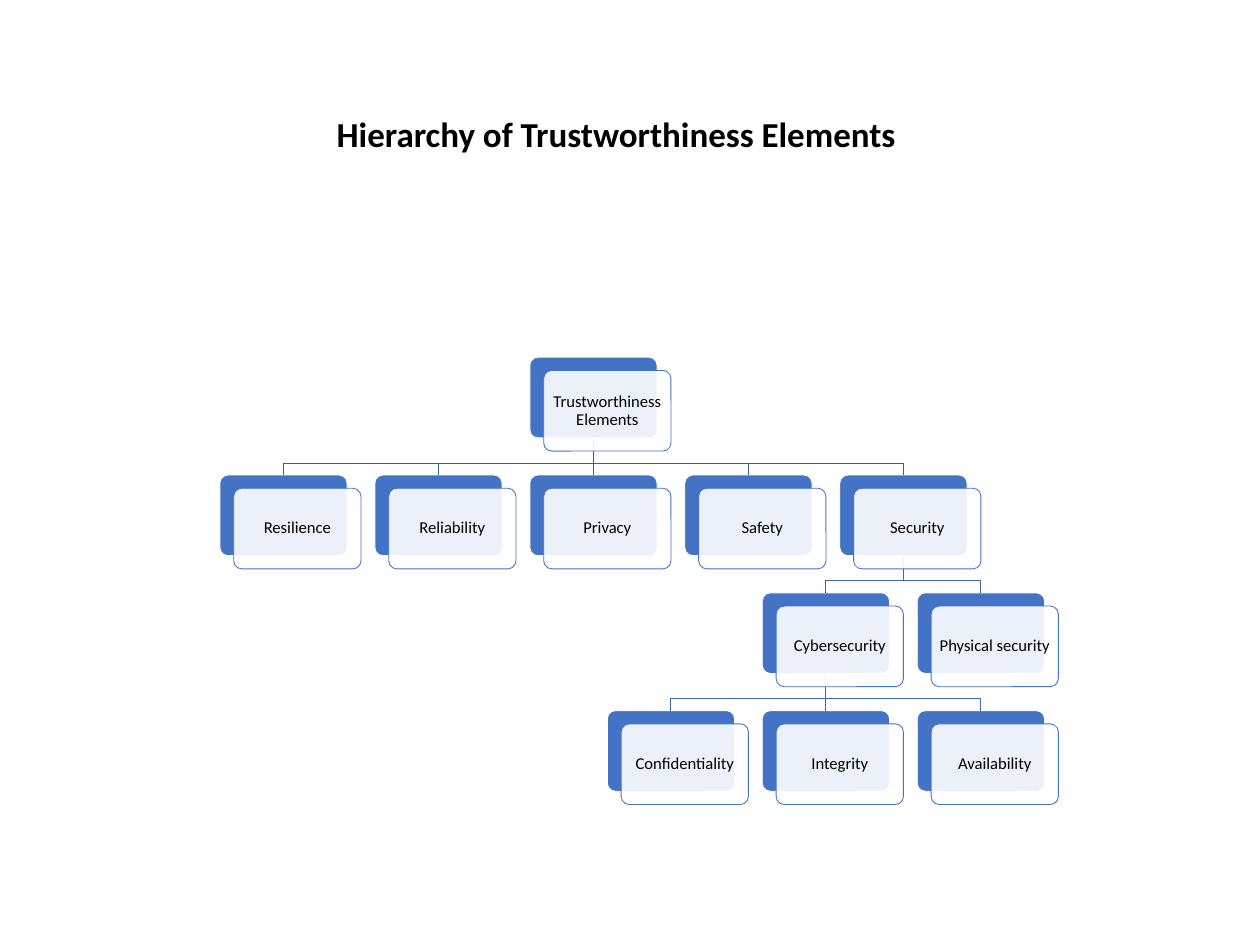
from dataclasses import dataclass

from lxml import etree
from pptx import Presentation
from pptx import util as u
from pptx.dml.color import RGBColor
from pptx.enum import shapes, text
from pptx.oxml.ns import qn

TITLE = "Hierarchy of Trustworthiness Elements"
ROOT = "Trustworthiness Elements"
CHILDREN = {
    ROOT: ["Resilience", "Reliability", "Privacy", "Safety", "Security"],
    "Security": ["Cybersecurity", "Physical security"],
    "Cybersecurity": ["Confidentiality", "Integrity", "Availability"],
}


@dataclass(frozen=True)
class Theme:
    font: str = "Calibri"
    ink: str = "000000"
    accent: str = "4472C4"
    paper: str = "FFFFFF"
    paper_alpha: int = 90
    top_link: str = "365B9D"
    lower_link: str = "3E67B2"
    title_size: int = 40
    card_size: int = 19
    line_width: int = 1


THEME = Theme()
CARD_W, CARD_H = 2.02, 1.28
LEFT, TOP = 3.49, 5.67
COL_STEP, ROW_STEP = 2.46, 1.87
ROOT_COL = 2
SHIFT_X, SHIFT_Y = 0.22, 0.21
ELBOW_DROP = 0.4
CORNER = 0.1
INSET = 0.08


def set_all(target, values):
    for name, value in values.items():
        setattr(target, name, value)


def rgb(value):
    return RGBColor.from_string(value)


def draw_line(line, color):
    line.color.rgb = rgb(color)
    line.width = u.Pt(THEME.line_width)


def write(tf, wording, size, bold=False):
    p = tf.paragraphs[0]
    p.alignment = text.PP_ALIGN.CENTER
    r = p.add_run()
    r.text = wording
    set_all(r.font, {"name": THEME.font, "size": u.Pt(size), "bold": bold})
    r.font.color.rgb = rgb(THEME.ink)
    return p


def place(name, col, row):
    yield name, col, row
    kids = CHILDREN.get(name, [])
    for i, kid in enumerate(kids):
        yield from place(kid, col + i - (len(kids) - 1) / 2, row + 1)


def add_card(slide, x, y, fill, line):
    sp = slide.shapes.add_shape(
        shapes.MSO_SHAPE.ROUNDED_RECTANGLE,
        u.Inches(x), u.Inches(y), u.Inches(CARD_W), u.Inches(CARD_H))
    sp.adjustments[0] = CORNER
    sp.shadow.inherit = False
    sp.fill.solid()
    sp.fill.fore_color.rgb = rgb(fill)
    draw_line(sp.line, line)
    return sp


def add_front(slide, name, x, y):
    sp = add_card(slide, x + SHIFT_X, y + SHIFT_Y, THEME.paper, THEME.accent)
    color = sp.fill._xPr.find(qn("a:solidFill"))[0]
    etree.SubElement(color, qn("a:alpha"), val=str(THEME.paper_alpha * 1000))
    tf = sp.text_frame
    set_all(tf, {"word_wrap": True, "vertical_anchor": text.MSO_ANCHOR.MIDDLE})
    set_all(tf, {f"margin_{side}": u.Inches(INSET)
                 for side in ("left", "top", "right", "bottom")})
    write(tf, name, THEME.card_size).line_spacing = 0.9


def add_link(slide, parent, child, color):
    x1, y1 = parent.left + parent.width // 2, parent.top + parent.height
    x2, y2 = child.left + child.width // 2, child.top
    if x1 == x2:
        link = slide.shapes.add_connector(
            shapes.MSO_CONNECTOR.STRAIGHT, x1, y1, x2, y2)
        link.begin_connect(parent, 2)
        link.end_connect(child, 0)
        etree.SubElement(link._element.spPr, qn("a:effectLst"))
    else:
        bend = y1 + u.Inches(ELBOW_DROP)
        outline = slide.shapes.build_freeform(x1, y1)
        outline.add_line_segments([(x1, bend), (x2, bend), (x2, y2)], close=False)
        link = outline.convert_to_shape()
        link.fill.background()
        link.shadow.inherit = False
    draw_line(link.line, color)


def main():
    prs = Presentation()
    set_all(prs, {"slide_width": u.Inches(20), "slide_height": u.Inches(15)})
    slide = prs.slides.add_slide(prs.slide_layouts[5])

    title = slide.shapes.title
    set_all(title, {"left": u.Inches(1.73), "top": u.Inches(1.74),
                    "width": u.Inches(16.1), "height": u.Inches(0.77)})
    set_all(title.text_frame, {
        "word_wrap": True,
        "auto_size": text.MSO_AUTO_SIZE.SHAPE_TO_FIT_TEXT,
        "vertical_anchor": text.MSO_ANCHOR.MIDDLE})
    write(title.text_frame, TITLE, THEME.title_size, bold=True)

    spots = {name: (LEFT + col * COL_STEP, TOP + row * ROW_STEP)
             for name, col, row in place(ROOT, ROOT_COL, 0)}
    backs = {name: add_card(slide, x, y, THEME.accent, THEME.paper)
             for name, (x, y) in spots.items()}
    for parent, kids in CHILDREN.items():
        color = THEME.top_link if parent == ROOT else THEME.lower_link
        for kid in kids:
            add_link(slide, backs[parent], backs[kid], color)
    for name, (x, y) in spots.items():
        add_front(slide, name, x, y)

    prs.save("out.pptx")


if __name__ == "__main__":
    main()
